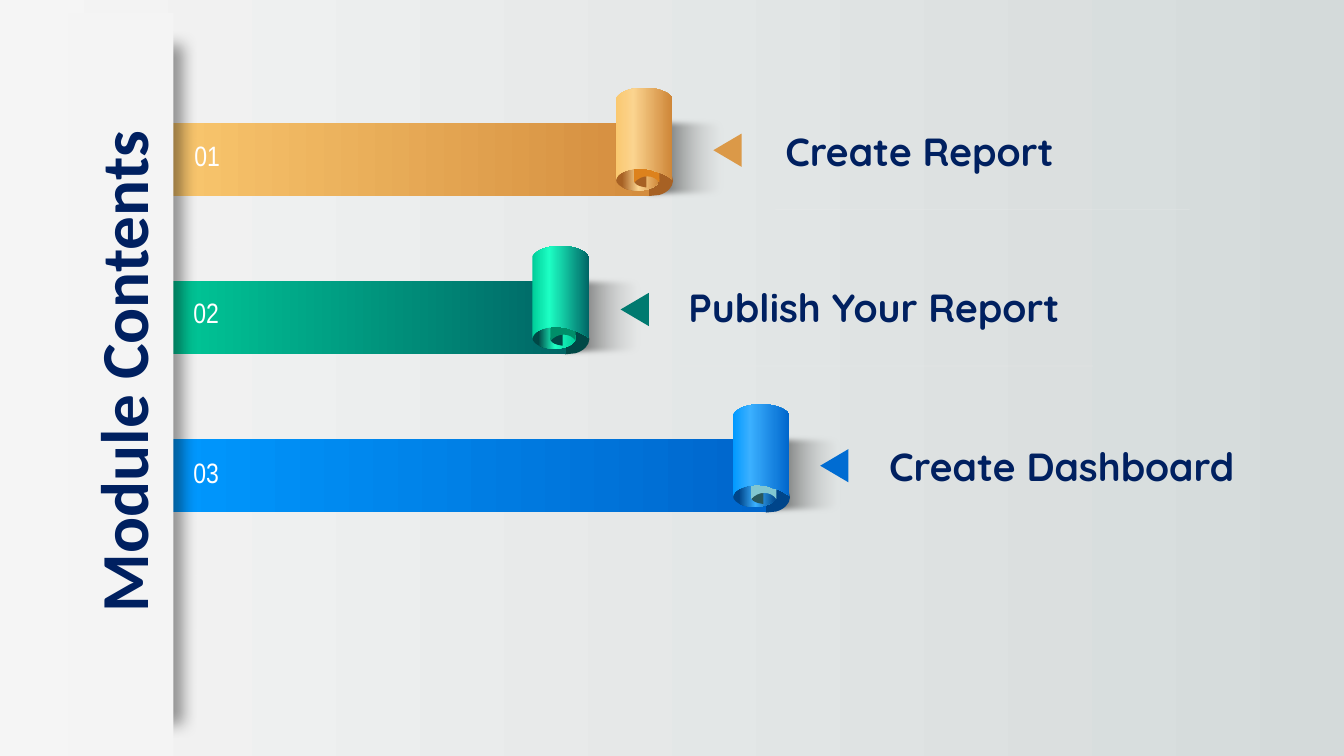
"""Build the Module Contents slide with three ribbon scrolls."""
from dataclasses import dataclass
from typing import NamedTuple

from lxml import etree
from pptx import Presentation
from pptx import slide as deck
from pptx import util as u
from pptx.dml import color, fill as paint
from pptx.enum import shapes, text
from pptx.oxml import ns
from pptx.shapes import autoshape as auto
from pptx.text import text as words

PX = 9144


class Stop(NamedTuple):
    pos: int
    tint: str
    alpha: int = 100


class Box(NamedTuple):
    x: int
    y: int
    w: int
    h: int

    def emu(self) -> list[int]:
        return [n * PX for n in self]


class Hue(NamedTuple):
    start: str
    glow: str
    end: str
    rim: str
    edge: str
    back: str
    curl: str
    arrow: str
    bar: str


class Style(NamedTuple):
    font: str
    size: int
    tint: str
    bold: bool = False


@dataclass(frozen=True)
class Theme:
    page: tuple[Stop, ...] = (Stop(0, "F5F5F5"), Stop(100, "D4DADA"))
    shade: tuple[Stop, ...] = (Stop(0, "000000"), Stop(100, "E9EBEA", 0))
    panel: str = "F4F4F4"
    cast: Stop = Stop(0, "000000", 40)
    rule: Stop = Stop(0, "F2F2F2", 30)
    title: Style = Style("Calibri", 48, "002060", True)
    label: Style = Style("Quicksand", 28, "002060", True)
    digit: Style = Style("Arial Narrow", 20, "FFFFFF")
    hues: tuple[Hue, ...] = (
        Hue("FAC86F", "FBD48F", "CE8537", "CE8537", "A76124", "DD821D", "A76124", "DB9948", "D48D3E"),
        Hue("00CC99", "1DFFC4", "006666", "00CC99", "004846", "008E69", "004846", "007A70", "006666"),
        Hue("0099FF", "3BB0FF", "0066CC", "00458A", "00458A", "81C6D1", "28585E", "006CD2", "0066CC"),
    )


class Row(NamedTuple):
    label: str
    left: int
    digit: Box
    arrow: Box
    text: Box
    rule: int


THEME = Theme()
TOP, STEP, WALL = 87, 157, 151
ROWS = (
    Row("Create Report", 611, Box(183, 133, 55, 44), Box(705, 135, 33, 28), Box(769, 121, 462, 57), 208),
    Row("Publish Your Report", 528, Box(182, 288, 55, 44), Box(613, 293, 33, 28), Box(673, 276, 626, 57), 363),
    Row("Create Dashboard", 727, Box(182, 447, 55, 44), Box(811, 448, 33, 28), Box(872, 434, 428, 57), 0),
)

Path = tuple[tuple[int, ...], ...]
FOOT: Path = ((45, 80), (51, 80, 57, 86, 59, 94), (60, 104), (29, 104), (30, 94), (33, 86, 38, 80, 45, 80))
CURL: Path = ((25, 87), (22, 87, 20, 90, 19, 94), (18, 99), (30, 99), (30, 94), (29, 90, 27, 87, 25, 87))
BACK: Path = ((18, 51), (20, 48, 25, 46, 31, 46), (37, 46, 41, 48, 43, 51), (43, 94),
              (40, 90, 36, 88, 31, 88), (26, 88, 22, 90, 18, 94), (18, 51))
FRONT: Path = ((28, 0), (39, 0, 51, 3, 56, 10), (56, 91), (52, 88, 48, 86, 43, 84), (39, 83), (34, 81),
               (31, 81, 28, 80, 24, 80), (13, 80, 3, 84, 1, 89), (0, 92), (0, 10), (5, 3, 16, 0, 28, 0))


def tag(root: etree._Element, name: str, **attrs: object) -> etree._Element:
    return etree.SubElement(root, ns.qn(name), {k: str(v) for k, v in attrs.items()})


def shade(root: etree._Element, stop: Stop) -> None:
    node = tag(root, "a:srgbClr", val=stop.tint)
    if stop.alpha < 100:
        tag(node, "a:alpha", val=stop.alpha * 1000)


def blend(root: etree._Element, fill: paint.FillFormat, stops: tuple[Stop, ...]) -> None:
    fill.gradient()
    fill.gradient_angle = 0
    nodes = root.find(".//" + ns.qn("a:gsLst"))
    nodes.clear()
    for stop in stops:
        shade(tag(nodes, "a:gs", pos=stop.pos * 1000), stop)


def finish(shape: auto.Shape, tint: str | tuple[Stop, ...]) -> auto.Shape:
    shape.shadow.inherit = False
    shape.line.fill.background()
    if isinstance(tint, str):
        shape.fill.solid()
        shape.fill.fore_color.rgb = color.RGBColor.from_string(tint)
    else:
        blend(shape.element, shape.fill, tint)
    return shape


def block(page: deck.Slide, box: Box, tint: str | tuple[Stop, ...],
          kind: shapes.MSO_SHAPE = shapes.MSO_SHAPE.RECTANGLE) -> auto.Shape:
    return finish(page.shapes.add_shape(kind, *box.emu()), tint)


def effects(shape: auto.Shape) -> etree._Element:
    return shape.element.find(".//" + ns.qn("a:effectLst"))


def outline(page: deck.Slide, path: Path, x: int, y: int, tint: str | tuple[Stop, ...], turn: int = 0) -> None:
    ends = [(x + part[-2], y + part[-1]) for part in path]
    pen = page.shapes.build_freeform(*ends[0], scale=PX)
    pen.add_line_segments(ends[1:], close=True)
    shape = finish(pen.convert_to_shape(), tint)
    shape.rotation = turn
    left, top = min(p[-2] for p in path), min(p[-1] for p in path)
    for node, part in zip(list(shape.element.iter(ns.qn("a:lnTo"))), path[1:]):
        if len(part) == 6:
            curve = tag(node.getparent(), "a:cubicBezTo")
            node.getparent().replace(node, curve)
            for a, b in zip(part[::2], part[1::2]):
                tag(curve, "a:pt", x=a - left, y=b - top)


def write(frame: words.TextFrame, line: str, style: Style) -> None:
    frame.word_wrap = True
    frame.auto_size = text.MSO_AUTO_SIZE.SHAPE_TO_FIT_TEXT
    frame.vertical_anchor = text.MSO_ANCHOR.TOP
    run = frame.paragraphs[0].add_run()
    run.text = line
    run.font.name, run.font.size, run.font.bold = style.font, u.Pt(style.size), style.bold
    run.font.color.rgb = color.RGBColor.from_string(style.tint)


def label(page: deck.Slide, box: Box, line: str, style: Style) -> None:
    write(page.shapes.add_textbox(*box.emu()).text_frame, line, style)


def ribbon(page: deck.Slide, x: int, y: int, hue: Hue) -> None:
    soft = block(page, Box(x + 21, y + 27, 93, 86), THEME.shade)
    tag(effects(soft), "a:softEdge", rad=u.Pt(5))
    outline(page, FOOT, x, y, hue.edge, 90)
    block(page, Box(WALL, y + 35, x + 33 - WALL, 72), (Stop(0, hue.start), Stop(100, hue.bar)))
    rim = (Stop(14, hue.edge), Stop(52, hue.glow), Stop(100, hue.rim))
    block(page, Box(x, y + 80, 43, 22), rim, shapes.MSO_SHAPE.OVAL)
    outline(page, CURL, x, y, hue.curl, 270)
    outline(page, BACK, x, y, hue.back)
    outline(page, FRONT, x, y, (Stop(0, hue.start), Stop(30, hue.glow), Stop(100, hue.end)))


def panel(page: deck.Slide) -> None:
    side = block(page, Box(116, 45, 55, 672), THEME.panel)
    cast = tag(effects(side), "a:outerShdw", blurRad=u.Pt(11), dist=u.Pt(7), dir=0, algn="l", rotWithShape=0)
    shade(cast, THEME.cast)
    block(page, Box(68, 13, 104, 737), THEME.panel)


def rule(page: deck.Slide, x: int, y: int) -> None:
    line = page.shapes.add_connector(shapes.MSO_CONNECTOR.STRAIGHT, x * PX, y * PX, (x + 411) * PX, y * PX)
    line.line.width = u.Pt(0.5)
    line.line.color.rgb = color.RGBColor.from_string(THEME.rule.tint)
    tag(line.element.find(".//" + ns.qn("a:srgbClr")), "a:alpha", val=THEME.rule.alpha * 1000)
    tag(line.element.find(ns.qn("p:spPr")), "a:effectLst")


def heading(page: deck.Slide) -> None:
    title = page.shapes.title
    title.left, title.top, title.width, title.height = Box(-247, 323, 737, 91).emu()
    title.rotation = 270
    write(title.text_frame, "Module Contents", THEME.title)
    title.text_frame.paragraphs[0].alignment = text.PP_ALIGN.CENTER
    title.element.getparent().append(title.element)


def main() -> None:
    show = Presentation()
    show.slide_width, show.slide_height = u.Inches(13.33), u.Inches(7.5)
    page = show.slides.add_slide(show.slide_layouts[5])
    blend(page.element, page.background.fill, THEME.page)
    for n, (row, hue) in enumerate(zip(ROWS, THEME.hues)):
        ribbon(page, row.left, TOP + n * STEP, hue)
    panel(page)
    for n, (row, hue) in enumerate(zip(ROWS, THEME.hues), 1):
        label(page, row.digit, f"{n:02}", THEME.digit)
        block(page, row.arrow, hue.arrow, shapes.MSO_SHAPE.ISOSCELES_TRIANGLE).rotation = 270
        label(page, row.text, row.label, THEME.label)
        if row.rule:
            rule(page, row.text.x, row.rule)
    heading(page)
    show.save("out.pptx")


if __name__ == "__main__":
    main()
